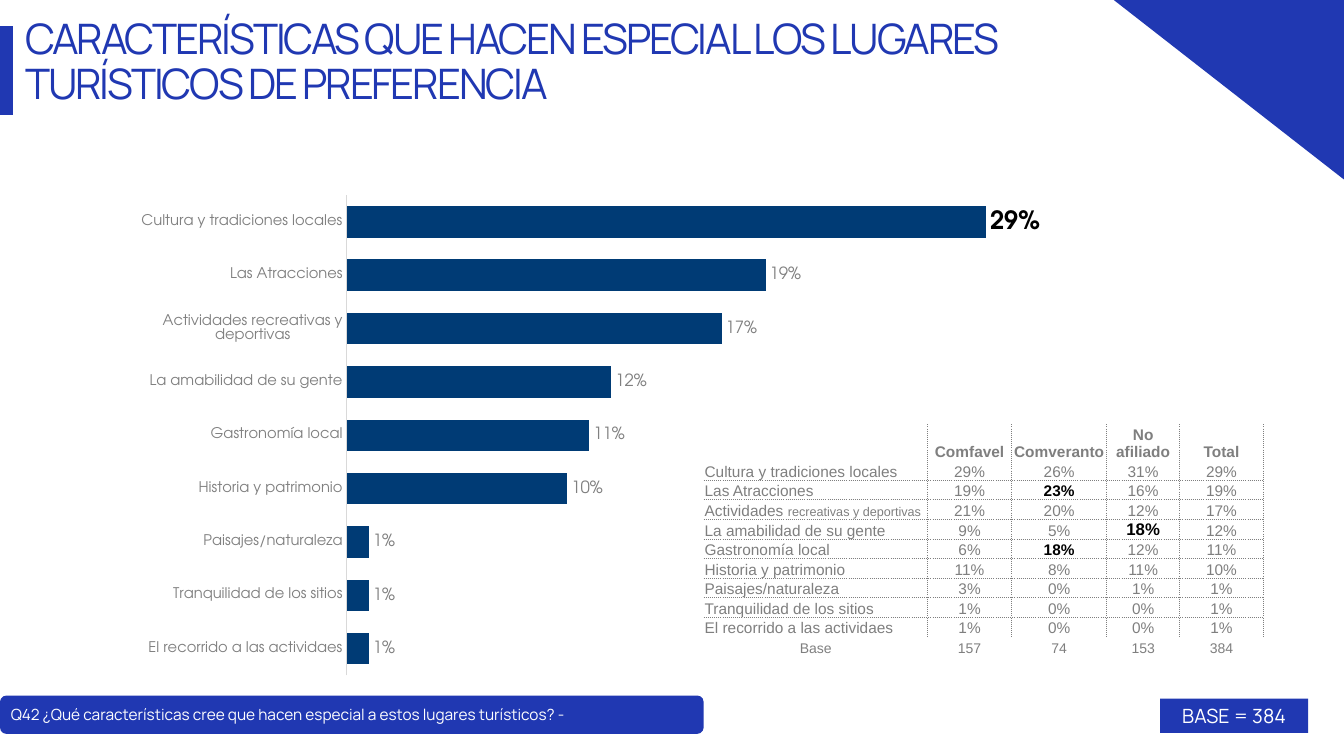
"""Build the slide on what makes the preferred tourist places special."""
from pptx import Presentation
from pptx.chart.data import CategoryChartData
from pptx.dml.color import RGBColor
from pptx.enum.chart import XL_CHART_TYPE, XL_LABEL_POSITION, XL_TICK_LABEL_POSITION, XL_TICK_MARK
from pptx.enum.shapes import MSO_SHAPE
from pptx.enum.text import MSO_ANCHOR, PP_ALIGN
from pptx.oxml import parse_xml
from pptx.oxml.ns import nsdecls
from pptx.util import Pt

COLORS = {name: RGBColor.from_string(value) for name, value in {
    "brand": "2038B2", "bar": "003B75", "grey": "7F7F7F", "label": "808080",
    "axis": "D9D9D9", "black": "000000", "white": "FFFFFF"}.items()}


def style_font(font, size, color, name="Manrope", bold=False):
    font.size, font.name, font.bold = Pt(size), name, bold
    font.color.rgb = COLORS[color]


def paint(shape):
    shape.shadow.inherit = False
    shape.fill.solid()
    shape.fill.fore_color.rgb = COLORS["brand"]
    shape.line.fill.background()


prs = Presentation()
prs.slide_width, prs.slide_height = Pt(960), Pt(540)
slide = prs.slides.add_slide(prs.slide_layouts[6])
shapes = slide.shapes

features = [
    ("Cultura y tradiciones locales", 29, 26, 31, 29),
    ("Las Atracciones", 19, 23, 16, 19),
    ("Actividades recreativas y deportivas", 21, 20, 12, 17),
    ("La amabilidad de su gente", 9, 5, 18, 12),
    ("Gastronomía local", 6, 18, 12, 11),
    ("Historia y patrimonio", 11, 8, 11, 10),
    ("Paisajes/naturaleza", 3, 0, 1, 1),
    ("Tranquilidad de los sitios", 1, 0, 0, 1),
    ("El recorrido a las actividaes", 1, 0, 0, 1),
]
highlights = {(2, 2): 11, (4, 3): 12, (5, 2): 11}

rows = [("", "Comfavel", "Comveranto", "No afiliado", "Total")]
rows += [(name, *(f"{share}%" for share in shares)) for name, *shares in features]
rows.append(("Base", "157", "74", "153", "384"))
base_row = len(rows) - 1

breakdown = shapes.add_table(len(rows), 5, Pt(502.6), Pt(303.1), Pt(400), Pt(166)).table
breakdown.first_row = breakdown.horz_banding = False
for column, width in zip(breakdown.columns, (160, 60, 68, 52, 60)):
    column.width = Pt(width)
for r, texts in enumerate(rows):
    breakdown.rows[r].height = Pt(26 if r == 0 else 14)
    for c, text in enumerate(texts):
        cell = breakdown.cell(r, c)
        cell.margin_left = cell.margin_right = cell.margin_top = Pt(0.7)
        cell.margin_bottom = Pt(0)
        cell.vertical_anchor = MSO_ANCHOR.BOTTOM
        dotted = {"L": c > 0 and r < base_row, "R": r < base_row,
                  "T": 1 < r < base_row, "B": 0 < r < base_row - 1}
        for side, drawn in dotted.items():
            stroke = (f'<a:solidFill><a:srgbClr val="{COLORS["grey"]}"/></a:solidFill>'
                      '<a:prstDash val="sysDot"/>' if drawn else "<a:noFill/>")
            cell._tc.get_or_add_tcPr().append(parse_xml(
                f'<a:ln{side} {nsdecls("a")} w="9525">{stroke}</a:ln{side}>'))
        cell.fill.background()
        paragraph = cell.text_frame.paragraphs[0]
        paragraph.text = text
        if c or r == base_row:
            paragraph.alignment = PP_ALIGN.CENTER
        bold = r == 0 or (r, c) in highlights
        size = 10 if r == base_row else highlights.get((r, c), 11)
        color = "black" if (r, c) in highlights else "grey"
        style_font(paragraph.font, size, color, "Arial", bold)
        if (r, c) == (3, 0):
            first_word, detail = text.split(" ", 1)
            paragraph.text = first_word + " "
            small = paragraph.add_run()
            small.text = detail
            small.font.size = Pt(9)
        for run in paragraph.runs:
            style_font(run.font, run.font.size.pt if run.font.size else size, color, "Arial", bold)

shares_data = CategoryChartData(number_format="0%")
shares_data.categories = [feature[0] for feature in features]
shares_data.add_series("Total", [feature[-1] / 100 for feature in features])
chart = shapes.add_chart(XL_CHART_TYPE.BAR_CLUSTERED, Pt(72), Pt(126), Pt(751), Pt(374.4),
                         shares_data).chart
chart.has_legend = chart.has_title = False
style_font(chart.font, 10, "black", "Arial")

category_axis = chart.category_axis
category_axis.reverse_order = True
category_axis.major_tick_mark = XL_TICK_MARK.NONE
category_axis.format.line.color.rgb = COLORS["axis"]
category_axis.format.line.width = Pt(0.75)
style_font(category_axis.tick_labels.font, 10.5, "label", "TeX Gyre Adventor")

value_axis = chart.value_axis
value_axis.minimum_scale, value_axis.maximum_scale = 0, 0.35
value_axis.has_major_gridlines = False
value_axis.major_tick_mark = XL_TICK_MARK.NONE
value_axis.tick_label_position = XL_TICK_LABEL_POSITION.NONE
value_axis.format.line.fill.background()

plot = chart.plots[0]
plot.gap_width = 70
plot.vary_by_categories = False
bars = plot.series[0]
bars.format.fill.solid()
bars.format.fill.fore_color.rgb = COLORS["bar"]
labels = bars.data_labels
labels.show_value = True
labels.number_format, labels.number_format_is_linked = "0%", False
labels.position = XL_LABEL_POSITION.OUTSIDE_END
style_font(labels.font, 12, "label", "TeX Gyre Adventor")
top_label = bars.points[0].data_label
style_font(top_label.font, 18, "black", "TeX Gyre Adventor", True)
top_label.position = XL_LABEL_POSITION.OUTSIDE_END

plot_area = chart._chartSpace.chart.plotArea
for layout in plot_area.findall("{*}layout"):
    plot_area.remove(layout)
frame = "".join(f'<c:{key} val="{value}"/>' for key, value in (
    ("layoutTarget", "inner"), ("xMode", "edge"), ("yMode", "edge"),
    ("x", 0.234), ("y", 0.036), ("w", 0.734), ("h", 0.916)))
plot_area.insert(0, parse_xml(
    f'<c:layout {nsdecls("c")}><c:manualLayout>{frame}</c:manualLayout></c:layout>'))

question_bar = shapes.add_shape(MSO_SHAPE.ROUNDED_RECTANGLE, Pt(0), Pt(496.8), Pt(502.6), Pt(27.4))
paint(question_bar)

corner = shapes.build_freeform(Pt(960), Pt(0))
corner.add_line_segments([(Pt(795.6), Pt(0)), (Pt(960), Pt(128.2))])
paint(corner.convert_to_shape())

title_mark = shapes.build_freeform(Pt(0), Pt(82))
title_mark.add_line_segments([(Pt(0), Pt(18.7)), (Pt(9.4), Pt(18.7)), (Pt(9.4), Pt(82))])
paint(title_mark.convert_to_shape())

title = shapes.add_textbox(Pt(18), Pt(13), Pt(766), Pt(73.4)).text_frame
title.word_wrap = True
title.margin_left = title.margin_right = title.margin_bottom = Pt(0)
title.margin_top = Pt(0.7)
heading = title.paragraphs[0]
heading.text = "CARACTERÍSTICAS QUE HACEN ESPECIAL LOS LUGARES TURÍSTICOS DE PREFERENCIA"
heading.line_spacing = 0.88
style_font(heading.runs[0].font, 30, "brand")
heading.runs[0]._r.get_or_add_rPr().set("spc", "-150")

question = shapes.add_textbox(Pt(0.7), Pt(500.4), Pt(605.5), Pt(20.9)).text_frame
question.word_wrap = True
question.text = "Q42 ¿Qué características cree que hacen especial a estos lugares turísticos? -"
style_font(question.paragraphs[0].runs[0].font, 11, "white")

base_box = shapes.add_shape(MSO_SHAPE.RECTANGLE, Pt(828.7), Pt(499), Pt(105.8), Pt(24.5))
paint(base_box)
base_box.text_frame.text = "BASE = 384"
base_box.text_frame.paragraphs[0].alignment = PP_ALIGN.CENTER
style_font(base_box.text_frame.paragraphs[0].runs[0].font, 14, "white")

prs.save("out.pptx")
